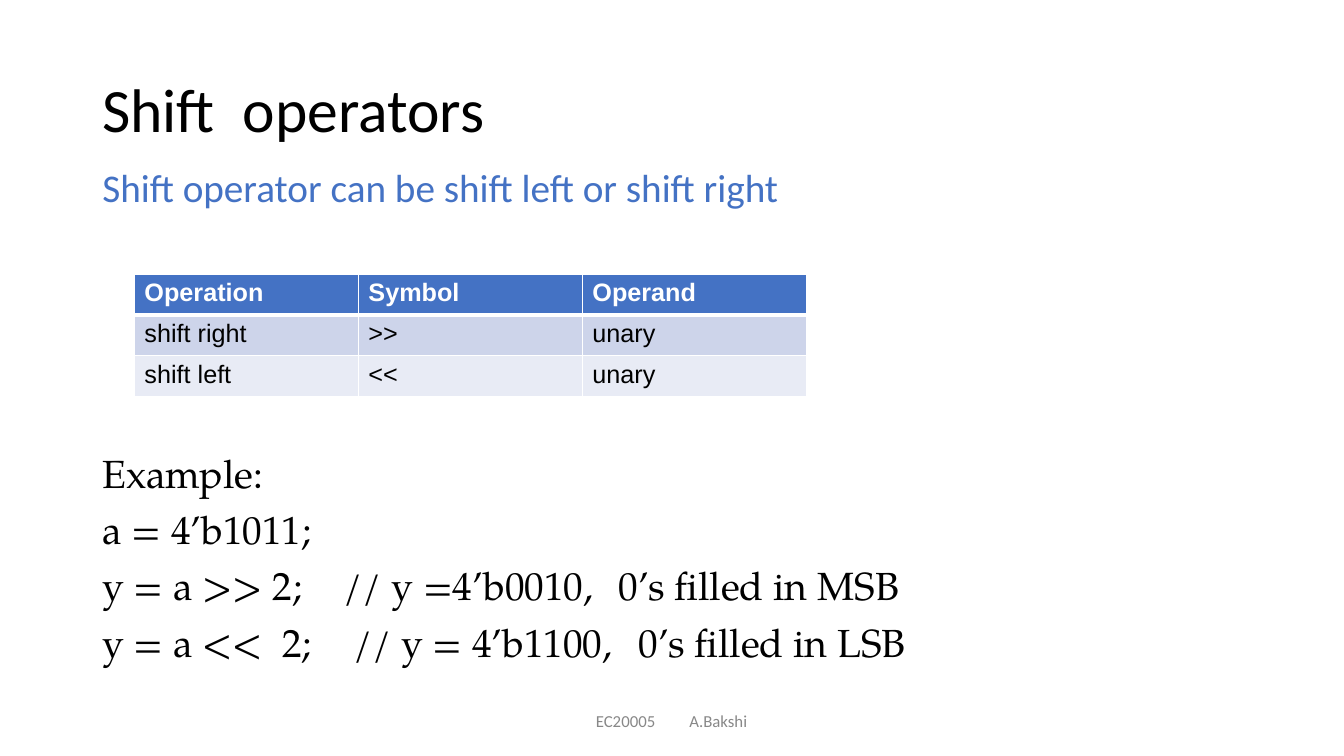
from lxml.etree import SubElement
from pptx import Presentation
from pptx.dml.color import RGBColor
from pptx.enum.text import MSO_ANCHOR as Anchor
from pptx.oxml import parse_xml
from pptx.oxml.ns import nsdecls, qn
from pptx.util import Pt

EMU_PER_PX = 9525
BLACK, WHITE, BLUE, GREY = "000000", "FFFFFF", "4472C4", "888888"
BAND_FILLS = ["CDD4EA", "E8EBF5"]
OPERATORS = [
    ["Operation", "Symbol", "Operand"],
    ["shift right", ">>", "unary"],
    ["shift left", "<<", "unary"],
]
EXAMPLE = [
    ("Example:", []),
    ("a = 4’b1011;", []),
    ("y = a >> 2;\t// y =4’b0010,\t0’s filled in MSB", [230, 492]),
    ("y = a <<  2;\t// y = 4’b1100,\t0’s filled in LSB", [239, 511]),
]


def px(length):
    return length * EMU_PER_PX


def color(value):
    return RGBColor.from_string(value)


def add_run(paragraph, text, font, size, ink, bold=False):
    run = paragraph.add_run()
    run.text = text
    run.font.name = font
    run.font.size = Pt(size)
    run.font.bold = bold
    run.font.color.rgb = color(ink)


def add_tab_stops(paragraph, stops):
    tabs = SubElement(paragraph._p.get_or_add_pPr(), qn("a:tabLst"))
    for stop in stops:
        SubElement(tabs, qn("a:tab"), pos=str(px(stop)), algn="l")


def add_text(slide, box, lines, font, size, ink, anchor=Anchor.TOP, spacing=0.9):
    frame = slide.shapes.add_textbox(*map(px, box)).text_frame
    frame.word_wrap = True
    frame.vertical_anchor = anchor
    for index, (text, stops) in enumerate(lines):
        paragraph = frame.add_paragraph() if index else frame.paragraphs[0]
        if stops:
            add_tab_stops(paragraph, stops)
        paragraph.line_spacing = spacing
        if index:
            paragraph.space_before = Pt(10)
        add_run(paragraph, text, font, size, ink)


def add_borders(cell, widths):
    properties = cell._tc.get_or_add_tcPr()
    for index, (side, width) in enumerate(widths.items()):
        properties.insert(index, parse_xml(
            f'<a:ln{side} {nsdecls("a")} w="{Pt(width)}"><a:solidFill>'
            f'<a:srgbClr val="{WHITE}"/></a:solidFill></a:ln{side}>'))


def add_operator_table(slide, box, rows):
    table = slide.shapes.add_table(len(rows), len(rows[0]), *map(px, box)).table
    for r, row in enumerate(rows):
        header = r == 0
        fill = BLUE if header else BAND_FILLS[(r - 1) % 2]
        widths = {"L": 1, "R": 1, "T": 3 if r == 1 else 1, "B": 3 if header else 1}
        for c, text in enumerate(row):
            cell = table.cell(r, c)
            cell.fill.solid()
            cell.fill.fore_color.rgb = color(fill)
            add_borders(cell, widths)
            add_run(cell.text_frame.paragraphs[0], text, "Arial", 18,
                    WHITE if header else BLACK, header)


def main():
    deck = Presentation()
    deck.slide_width, deck.slide_height = px(1280), px(720)
    slide = deck.slides.add_slide(deck.slide_layouts[6])
    add_text(slide, (88, 38, 1104, 139), [("Shift  operators", [])],
             "Calibri", 44, BLACK, Anchor.MIDDLE)
    add_text(slide, (88, 156, 888, 54),
             [("Shift operator can be shift left or shift right", [])],
             "Calibri", 28, BLUE)
    add_operator_table(slide, (128, 261, 640, 117), OPERATORS)
    add_text(slide, (88, 428, 888, 220), EXAMPLE, "TeX Gyre Pagella", 28, BLACK)
    add_text(slide, (558, 667, 298, 38), [("EC20005\tA.Bakshi", [89])],
             "Calibri", 12, GREY, Anchor.MIDDLE, 1.0)
    deck.save("out.pptx")


if __name__ == "__main__":
    main()
